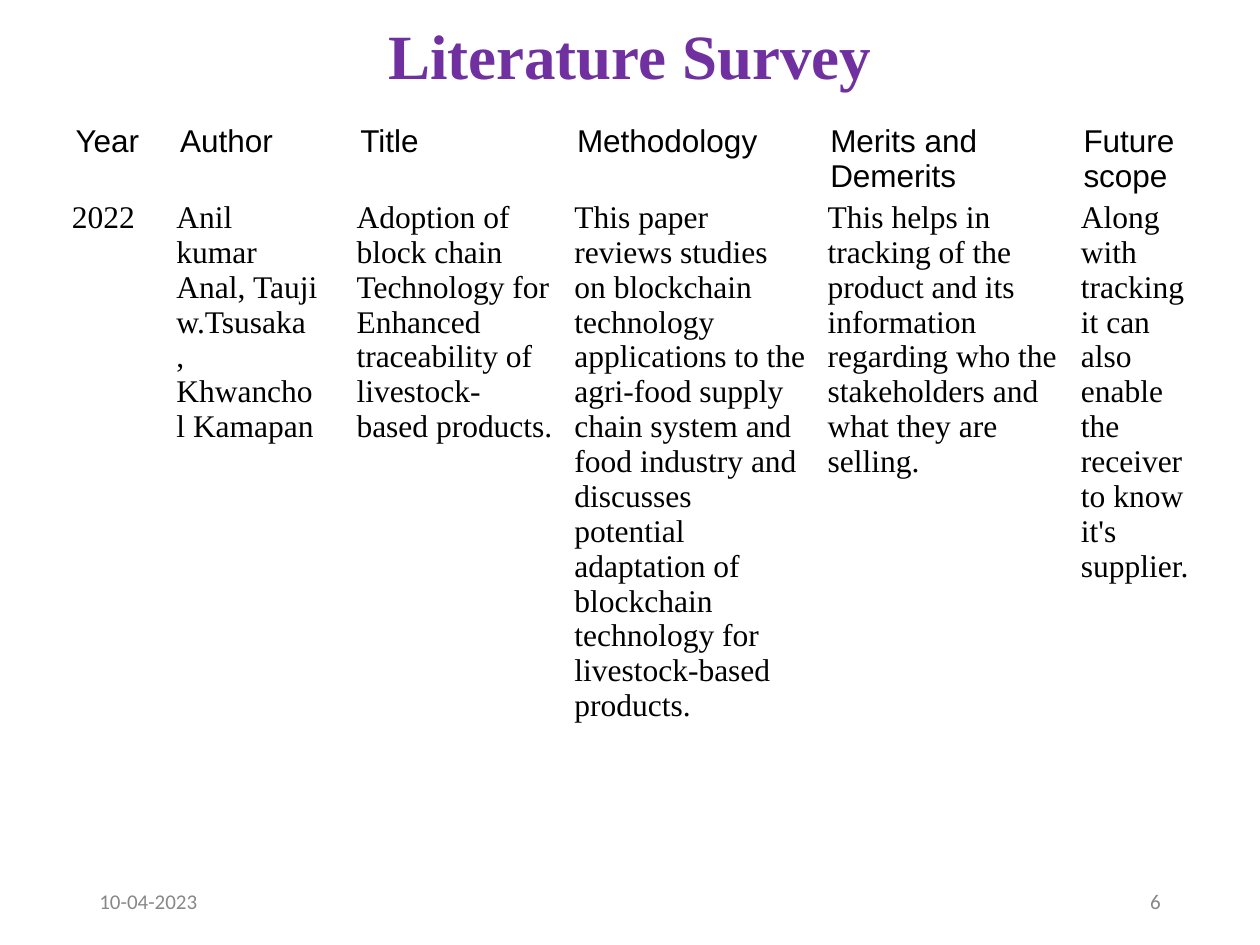
from pptx import Presentation
from pptx.dml.color import RGBColor
from pptx.enum.text import MSO_ANCHOR, PP_ALIGN
from pptx.util import Inches, Pt

LEFT, CENTER, RIGHT, JUSTIFY = (PP_ALIGN.LEFT, PP_ALIGN.CENTER,
                                PP_ALIGN.RIGHT, PP_ALIGN.JUSTIFY)
MIDDLE = MSO_ANCHOR.MIDDLE
COLORS = {"title": "7030A0", "text": "000000", "footer": "888888"}

TITLE = "Literature Survey"
# heading, entry, column width, entry indent, entry right margin, entry alignment
COLUMNS = [
    ("Year", "2022", 0.83, 0.07, 0, LEFT),
    ("Author", "Anil kumar Anal, Tauji w.Tsusaka , Khwanchol Kamapan",
     1.43, 0.07, 0.24, JUSTIFY),
    ("Title", "Adoption of block chain Technology for Enhanced traceability of "
     "livestock- based products.", 1.72, 0.07, 0.06, LEFT),
    ("Methodology", "This paper reviews studies on blockchain technology "
     "applications to the agri-food supply chain system and food industry and "
     "discusses potential adaptation of blockchain technology for "
     "livestock-based products.", 2.01, 0.08, 0.09, LEFT),
    ("Merits and Demerits", "This helps in tracking of the product and its "
     "information regarding who the stakeholders and what they are selling.",
     2.01, 0.08, 0.09, LEFT),
    ("Future scope", "Along with tracking it can also enable the receiver to "
     "know it's supplier.", 1.22, 0.08, 0.21, LEFT),
]
ROW_HEIGHTS = [0.66, 3.57]
# text, left, alignment
FOOTERS = [("10-04-2023", 0.69, LEFT), ("6", 7.06, RIGHT)]


def write(frame, text, font_name, size, color, align=LEFT, bold=False):
    frame.word_wrap = True
    paragraph = frame.paragraphs[0]
    paragraph.text = text
    paragraph.alignment = align
    font = paragraph.font
    font.name, font.size, font.bold = font_name, Pt(size), bold
    font.color.rgb = RGBColor.from_string(COLORS[color])
    return paragraph


def add_title(slide):
    title = slide.shapes.title
    title.left, title.top = Inches(0.69), Inches(0.18)
    title.width, title.height = Inches(8.62), Inches(0.58)
    title.text_frame.vertical_anchor = MIDDLE
    heading = write(title.text_frame, TITLE, "Times New Roman", 36, "title",
                    CENTER, bold=True)
    heading.line_spacing = 0.9


def add_survey(slide):
    width = sum(column[2] for column in COLUMNS)
    survey = slide.shapes.add_table(
        len(ROW_HEIGHTS), len(COLUMNS), Inches(0.5), Inches(0.93),
        Inches(width), Inches(sum(ROW_HEIGHTS))).table
    survey.first_row = survey.horz_banding = False
    for row, height in zip(survey.rows, ROW_HEIGHTS):
        row.height = Inches(height)

    for index, (heading, entry, width, indent, margin, align) in enumerate(COLUMNS):
        survey.columns[index].width = Inches(width)
        heading_cell, entry_cell = survey.cell(0, index), survey.cell(1, index)
        for cell in (heading_cell, entry_cell):
            cell.fill.background()
        write(heading_cell.text_frame, heading, "Arial", 18, "text")

        entry_cell.margin_left = entry_cell.margin_top = entry_cell.margin_bottom = 0
        entry_cell.margin_right = Inches(margin)
        paragraph = write(entry_cell.text_frame, entry, "Times New Roman", 18,
                          "text", align)
        properties = paragraph._p.get_or_add_pPr()
        properties.set("marL", str(Inches(indent)))
        properties.set("indent", "0")


def add_footers(slide):
    for text, left, align in FOOTERS:
        footer = slide.shapes.add_textbox(Inches(left), Inches(6.95),
                                          Inches(2.25), Inches(0.4))
        footer.text_frame.vertical_anchor = MIDDLE
        write(footer.text_frame, text, "Calibri", 12, "footer", align)


def main():
    presentation = Presentation()
    presentation.slide_width, presentation.slide_height = Inches(10), Inches(7.5)
    slide = presentation.slides.add_slide(presentation.slide_layouts[5])
    add_title(slide)
    add_survey(slide)
    add_footers(slide)
    presentation.save("out.pptx")


if __name__ == "__main__":
    main()
